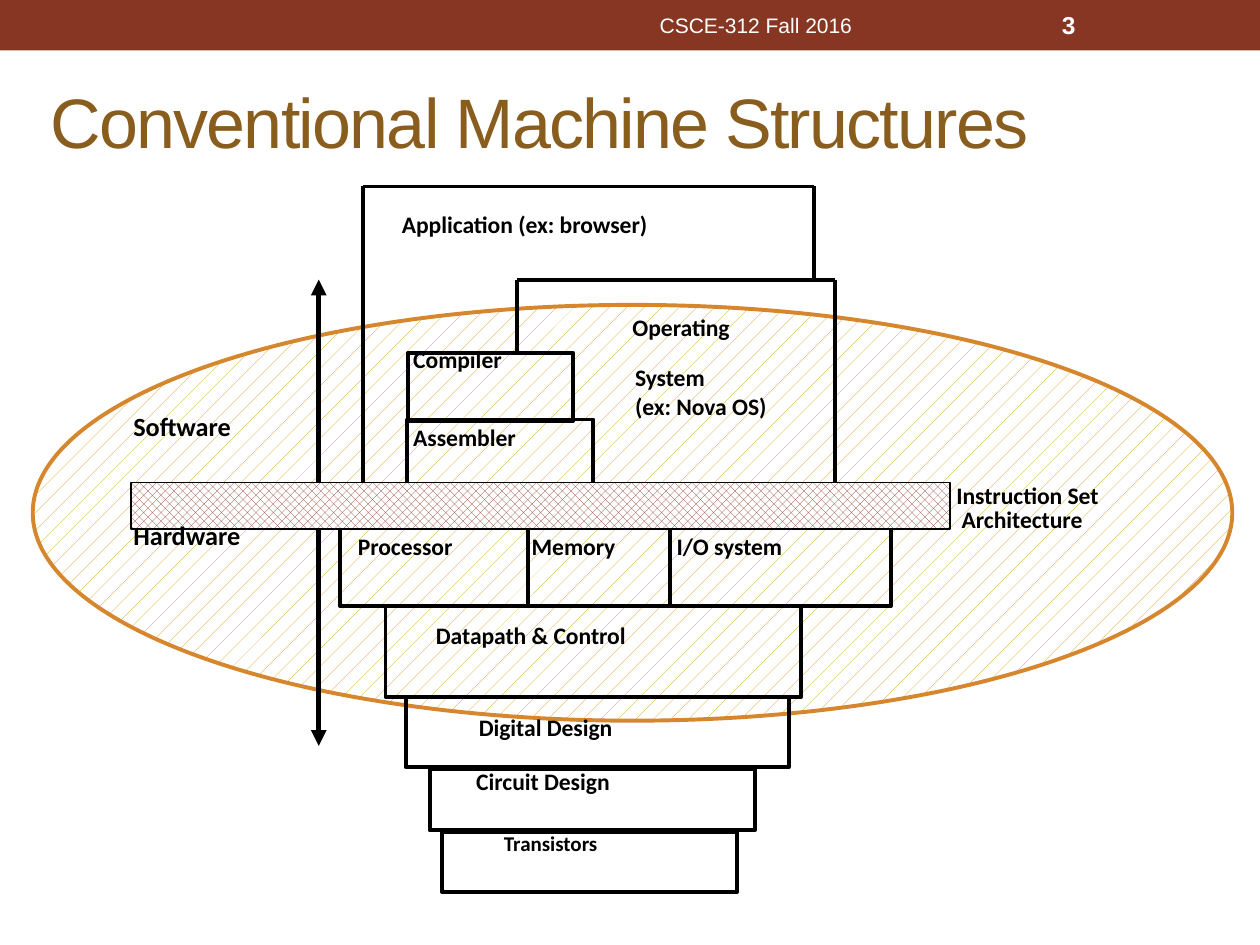
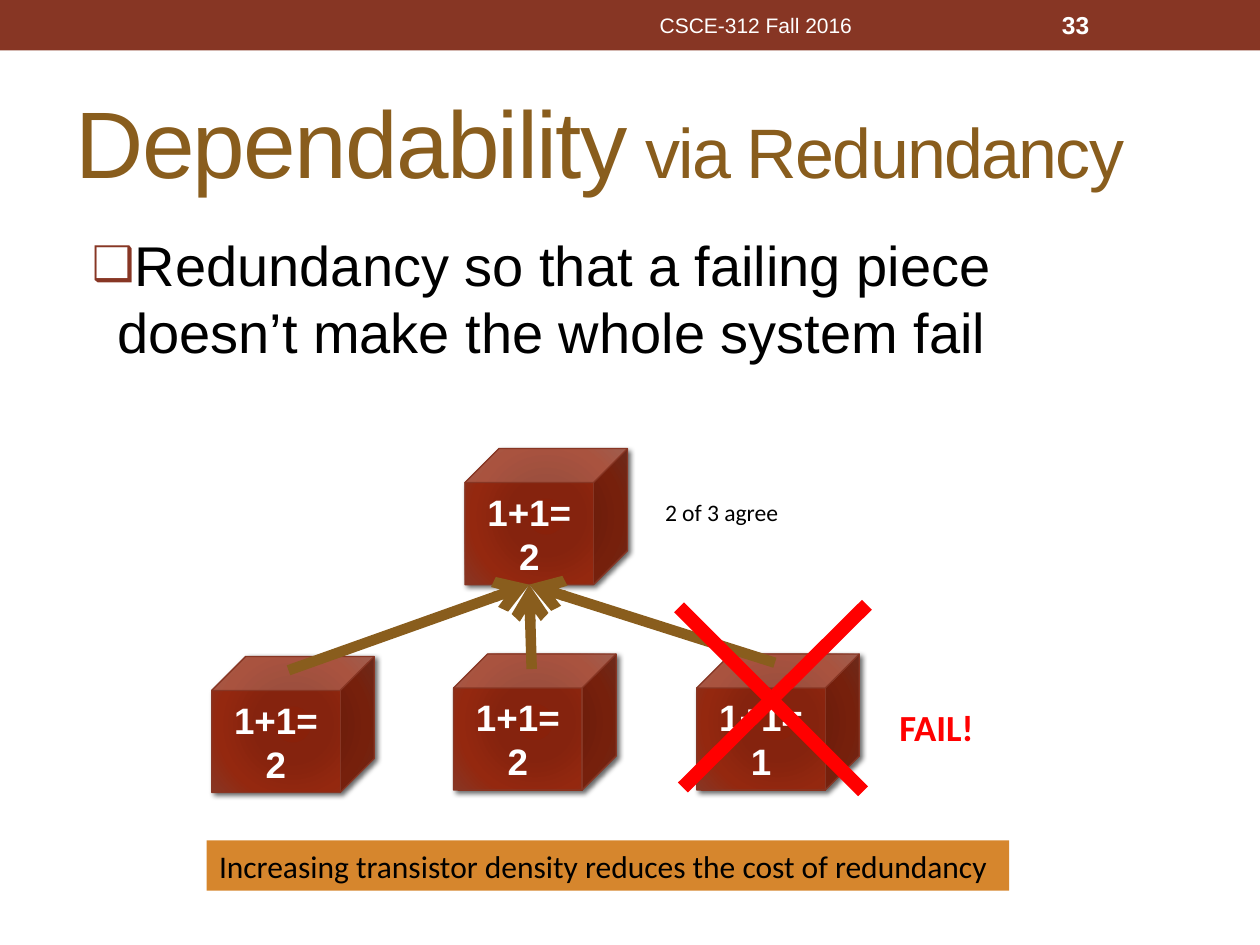
import itertools

import pptx
import pptx.dml.color
import pptx.enum.dml
import pptx.enum.shapes
import pptx.enum.text
import pptx.oxml
import pptx.oxml.ns
import pptx.util

COLORS = {
    "band": "873624", "title": "895D1D", "orange": "D6862D", "gold": "CC9900",
    "black": "000000", "white": "FFFFFF", "red": "FF0000",
    "cube_dark": "89210A", "cube_deep": "85230E", "cube_light": "94280F",
}
HEADING, LABEL = "Arial", "Calibri"
COLUMNS, ROWS = 100, 75
PATTERN = pptx.enum.dml.MSO_PATTERN
SHAPE = pptx.enum.shapes.MSO_SHAPE
ANCHOR = pptx.enum.text.MSO_ANCHOR
ALIGN = pptx.enum.text.PP_ALIGN
NAMESPACE = pptx.oxml.ns.nsdecls("a")


def rgb(name):
    return pptx.dml.color.RGBColor.from_string(COLORS[name])


def xml(text):
    return pptx.oxml.parse_xml(text.replace(">", f" {NAMESPACE}>", 1))


class Deck:
    """Holds the shared style and the slide being built."""

    def __init__(self):
        self.presentation = pptx.Presentation()
        self.presentation.slide_width = pptx.util.Inches(10)
        self.presentation.slide_height = pptx.util.Inches(7.5)
        self.column = self.presentation.slide_width / COLUMNS
        self.row = self.presentation.slide_height / ROWS
        self.slide = None

    def place(self, *cells):
        """Turn alternating column and row counts into lengths."""
        units = itertools.cycle((self.column, self.row))
        return [round(cell * unit) for cell, unit in zip(cells, units)]

    def start(self, layout, number):
        layouts = self.presentation.slide_layouts
        self.slide = self.presentation.slides.add_slide(layouts[layout])
        self.shape((0, 0, 100, 4), fill="band")
        self.text((37.5, 0.2, 45, 3.6), ["CSCE-312 Fall 2016"], 12, "white",
                  HEADING, align=ALIGN.CENTER, anchor=ANCHOR.MIDDLE)
        self.text((83.3, 0.2, 11.7, 3.6), [str(number)], 14, "white", HEADING,
                  bold=True, anchor=ANCHOR.MIDDLE)

    def font(self, run, size, color, name, bold=False):
        run.font.size = pptx.util.Pt(size)
        run.font.color.rgb = rgb(color)
        run.font.name = name
        run.font.bold = bold

    def fill_text(self, shape, lines, size, color="black", name=LABEL, bold=False,
                  align=ALIGN.LEFT, anchor=ANCHOR.TOP, inset=(0.1, 0.05), spacing=None):
        frame = shape.text_frame
        frame.text = "\n".join(lines)
        frame.word_wrap = True
        frame.auto_size = pptx.enum.text.MSO_AUTO_SIZE.NONE
        frame.vertical_anchor = anchor
        frame.margin_left = frame.margin_right = pptx.util.Inches(inset[0])
        frame.margin_top = frame.margin_bottom = pptx.util.Inches(inset[1])
        for paragraph in frame.paragraphs:
            paragraph.alignment = align
            if spacing:
                paragraph.line_spacing = spacing
            for run in paragraph.runs:
                self.font(run, size, color, name, bold)

    def text(self, at, lines, size, *style, **options):
        box = self.slide.shapes.add_textbox(*self.place(*at))
        self.fill_text(box, lines, size, *style, **options)

    def label(self, at, lines, size=13.5, spacing=1.02):
        self.text(at, lines, size, bold=True, inset=(0.05, 0.02), spacing=spacing)

    def move(self, shape, at):
        shape.left, shape.top, shape.width, shape.height = self.place(*at)

    def title(self, at, parts):
        """Fill the title from (text, size) parts."""
        shape = self.slide.shapes.title
        self.move(shape, at)
        self.fill_text(shape, [""], 40, anchor=ANCHOR.MIDDLE)
        for words, size in parts:
            run = shape.text_frame.paragraphs[0].add_run()
            run.text = words
            self.font(run, size, "title", HEADING)
            run._r.get_or_add_rPr().set("spc", "-100")

    def body(self, at, lines, size):
        shape = self.slide.placeholders[1]
        self.move(shape, at)
        self.fill_text(shape, lines, size, name=HEADING)
        indent = pptx.util.Inches(0.2)
        for paragraph in shape.text_frame.paragraphs:
            paragraph.space_before = pptx.util.Pt(size * 0.2)
            properties = paragraph._p.get_or_add_pPr()
            properties.set("marL", str(indent))
            properties.set("indent", str(-indent))
            for bullet in (
                f'<a:buClr><a:srgbClr val="{COLORS["band"]}"/></a:buClr>',
                '<a:buSzPct val="85000"></a:buSzPct>',
                '<a:buFont typeface="Arial"></a:buFont>',
                '<a:buChar char="❑"></a:buChar>',
            ):
                properties.append(xml(bullet))

    def shape(self, at, kind=SHAPE.RECTANGLE, fill=None, pattern=None, line=None, width=2.25):
        shape = self.slide.shapes.add_shape(kind, *self.place(*at))
        shape.shadow.inherit = False
        if pattern:
            shape.fill.patterned()
            shape.fill.pattern = pattern
            shape.fill.fore_color.rgb = rgb(fill)
            shape.fill.back_color.rgb = rgb("white")
        elif fill:
            shape.fill.solid()
            shape.fill.fore_color.rgb = rgb(fill)
        else:
            shape.fill.background()
        if line:
            shape.line.color.rgb = rgb(line)
            shape.line.width = pptx.util.Pt(width)
        else:
            shape.line.fill.background()
        return shape

    def cube(self, left, top, words):
        cube = self.shape((left, top, 12.9, 10.8), SHAPE.CUBE, line="band", width=0.75)
        properties = cube._element.spPr
        stops = zip((0, 34, 70, 100), ("cube_dark", "cube_deep", "cube_light", "band"))
        stop_list = "".join(
            f'<a:gs pos="{position * 1000}"><a:srgbClr val="{COLORS[color]}"/></a:gs>'
            for position, color in stops)
        gradient = xml(
            f'<a:gradFill><a:gsLst>{stop_list}</a:gsLst><a:path path="circle">'
            '<a:fillToRect l="100000" t="100000" r="100000" b="100000"/>'
            '</a:path></a:gradFill>')
        properties.replace(properties.find(pptx.oxml.ns.qn("a:noFill")), gradient)
        properties.find(pptx.oxml.ns.qn("a:effectLst")).append(xml(
            f'<a:outerShdw blurRad="{pptx.util.Pt(3)}" dist="{pptx.util.Pt(2)}" dir="2700000">'
            f'<a:srgbClr val="{COLORS["black"]}"><a:alpha val="60000"/></a:srgbClr>'
            '</a:outerShdw>'))
        self.fill_text(cube, [words], 21, "white", HEADING, bold=True,
                       align=ALIGN.CENTER, anchor=ANCHOR.MIDDLE)

    def line(self, start, end, color="black", width=2.25, arrow=None):
        connector = self.slide.shapes.add_connector(
            pptx.enum.shapes.MSO_CONNECTOR.STRAIGHT, *self.place(*start, *end))
        connector.line.color.rgb = rgb(color)
        connector.line.width = pptx.util.Pt(width)
        if arrow:
            connector.line._get_or_add_ln().append(
                xml(f'<a:tailEnd type="{arrow}"></a:tailEnd>'))
        connector._element.spPr.append(xml("<a:effectLst></a:effectLst>"))

    def outline(self, *corners):
        for start, end in itertools.pairwise(corners):
            self.line(start, end)


def machine_structures(deck):
    deck.start(5, 3)
    deck.title((3, 4.2, 90, 10.8), [("Conventional Machine Structures", 40)])
    deck.shape((2.6, 24.2, 95.2, 33), SHAPE.OVAL, "gold", PATTERN.PERCENT_5, "orange")

    # Open frames of the application and the operating system
    isa_top, isa_bottom = 38.3, 42
    deck.outline((28.8, isa_top), (28.8, 14.8), (64.6, 14.8), (64.6, 22.2))
    deck.outline((41, 28), (41, 22.2), (66.3, 22.2), (66.3, isa_top))

    # Closed layers
    for layer in (
        (32.4, 28, 13.1, 5.4),      # compiler
        (32.3, 33.3, 14.8, 5.4),    # assembler
        (27, 41.9, 43.7, 6.2),      # processor, memory, input and output
        (30.6, 48.1, 33, 7.2),      # datapath
        (32.2, 55.3, 30.4, 5.6),    # digital design
        (34.1, 61, 25.8, 4.9),      # circuit design
        (35.1, 66, 23.4, 4.8),      # transistors
    ):
        deck.shape(layer, line="black")
    for divider in (41.9, 53.2):
        deck.line((divider, isa_bottom), (divider, 48.1))

    # Instruction set bar and the arrows away from it
    deck.shape((10.4, isa_top, 65, isa_bottom - isa_top), fill="band",
               pattern=PATTERN.PERCENT_50, line="black", width=1)
    for start, end in ((isa_top, 22.2), (isa_bottom, 59.2)):
        deck.line((25.3, start), (25.3, end), width=3, arrow="triangle")

    # Labels
    for left, top, words in (
        (31.4, 16.4, "Application (ex: browser)"),
        (49.7, 24.6, "Operating"),
        (49.9, 28.6, "System\n(ex: Nova OS)"),
        (32.3, 27.1, "Compiler"),
        (32.3, 33.3, "Assembler"),
        (27.9, 42, "Processor"),
        (41.7, 42, "Memory"),
        (53.2, 42, "I/O system"),
        (34.1, 49, "Datapath & Control"),
        (37.5, 56.3, "Digital Design"),
        (37.3, 60.6, "Circuit Design"),
    ):
        deck.label((left, top, 33, 5), words.split("\n"))
    deck.label((39.5, 65.7, 15, 5), ["Transistors"], 12, 1)
    deck.label((75.4, isa_top, 19.8, 7.8), ["Instruction Set", " Architecture"], spacing=0.85)
    for top, words in ((32.1, "Software"), (40.7, "Hardware")):
        deck.text((9.6, top, 15.4, 6.4), [words], 15, bold=True)


def redundancy(deck):
    deck.start(1, 33)
    deck.title((5, 5.8, 90, 10.8), [("Dependability", 54), (" via Redundancy", 40)])
    deck.body((6.3, 17.8, 88.7, 12.4),
              ["Redundancy so that a failing piece doesn’t make the whole system fail"], 32)

    # Three units report to one voter
    for left, top, words in ((16.8, 52.1, "1+1=2"), (36, 51.9, "1+1=2"),
                             (55.3, 51.9, "1+1=1"), (36.9, 35.6, "1+1=2")):
        deck.cube(left, top, words)
    for start in ((22.9, 53.2), (42.2, 53.1), (61.5, 52.6)):
        deck.line(start, (42, 46.4), "title", 6, "arrow")
    deck.text((51.8, 39, 14, 3.3), ["2 of 3 agree"], 13.5)

    # Failed unit
    deck.line((53.9, 48.2), (68.5, 62.8), "red", 8)
    deck.line((68.8, 48), (54.2, 62.5), "red", 8)
    deck.text((70.4, 55.4, 12, 4.5), ["FAIL!"], 21, "red", bold=True)

    # Conclusion
    banner = deck.shape((16.4, 66.7, 63.7, 4), fill="orange")
    deck.fill_text(banner, ["Increasing transistor density reduces the cost of redundancy"], 18)


def main():
    deck = Deck()
    machine_structures(deck)
    redundancy(deck)
    deck.presentation.save("out.pptx")


if __name__ == "__main__":
    main()
